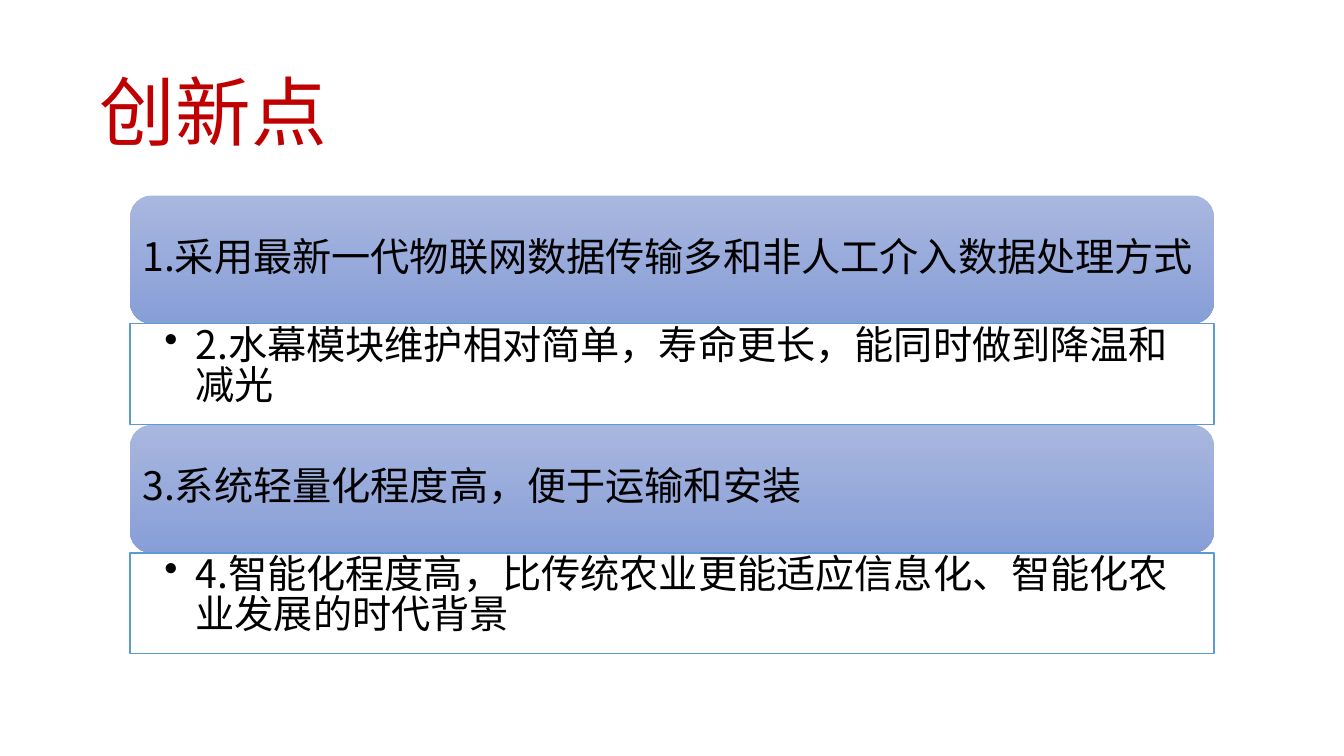
from dataclasses import dataclass

from lxml.etree import SubElement
from pptx import Presentation
from pptx.dml.color import RGBColor
from pptx.enum.shapes import MSO_SHAPE
from pptx.enum.text import MSO_ANCHOR, MSO_AUTO_SIZE, PP_ALIGN
from pptx.oxml.ns import qn
from pptx.util import Inches, Pt

TITLE = "创新点"
INNOVATIONS = [
    ("1.采用最新一代物联网数据传输多和非人工介入数据处理方式",
     "2.水幕模块维护相对简单，寿命更长，能同时做到降温和减光"),
    ("3.系统轻量化程度高，便于运输和安装",
     "4.智能化程度高，比传统农业更能适应信息化、智能化农业发展的时代背景"),
]


@dataclass(frozen=True)
class Theme:
    title_font: str = "Noto Sans CJK SC"
    body_font: str = "Noto Sans CJK JP"
    title_size: int = 54
    body_size: int = 28
    title_color: str = "C00000"
    text_color: str = "000000"
    paper: str = "FFFFFF"
    border: str = "5B9BD5"
    band: tuple = ("A8B7DF", "889ED7")


THEME = Theme()
SLIDE_WIDTH, SLIDE_HEIGHT = 13.33, 7.5
TITLE_BOX = (0.89, 0.7, 4.34, 0.93)
LEFT, TOP, WIDTH = 1.29, 1.94, 10.75
HEADER_HEIGHT, DETAIL_HEIGHT = 1.27, 1.0
PAIR_HEIGHT = HEADER_HEIGHT + DETAIL_HEIGHT + 0.005
HANGING = 0.31


def write_text(shape, text, font=THEME.body_font, size=THEME.body_size,
               color=THEME.text_color, anchor=MSO_ANCHOR.TOP,
               insets=(0.1, 0.05, 0.1, 0.05), spacing=0.85, bullet=False):
    frame = shape.text_frame
    frame.word_wrap = True
    frame.auto_size = MSO_AUTO_SIZE.NONE
    frame.vertical_anchor = anchor
    (frame.margin_left, frame.margin_top,
     frame.margin_right, frame.margin_bottom) = map(Inches, insets)
    paragraph = frame.paragraphs[0]
    paragraph.alignment = PP_ALIGN.LEFT
    paragraph.line_spacing = spacing
    run = paragraph.add_run()
    run.text = text
    run.font.name = font
    run.font.size = Pt(size)
    run.font.color.rgb = RGBColor.from_string(color)
    SubElement(run.font._element, qn("a:ea")).set("typeface", font)
    if bullet:
        properties = paragraph._p.get_or_add_pPr()
        properties.set("marL", str(Inches(HANGING)))
        properties.set("indent", str(-Inches(HANGING)))
        SubElement(properties, qn("a:buChar")).set("char", "•")


def add_box(slide, preset, top, height):
    shape = slide.shapes.add_shape(
        preset, *map(Inches, (LEFT, top, WIDTH, height)))
    shape.shadow.inherit = False
    return shape


def add_header(slide, text, top):
    band = add_box(slide, MSO_SHAPE.ROUNDED_RECTANGLE, top, HEADER_HEIGHT)
    band.fill.gradient()
    band.fill.gradient_angle = 270
    for stop, color in zip(band.fill.gradient_stops, THEME.band):
        stop.color.rgb = RGBColor.from_string(color)
    band.line.fill.background()
    write_text(band, text, anchor=MSO_ANCHOR.MIDDLE,
               insets=(0.06, 0.06, 0.02, 0.06))


def add_detail(slide, text, top):
    panel = add_box(slide, MSO_SHAPE.RECTANGLE, top, DETAIL_HEIGHT)
    panel.fill.solid()
    panel.fill.fore_color.rgb = RGBColor.from_string(THEME.paper)
    panel.line.color.rgb = RGBColor.from_string(THEME.border)
    panel.line.width = Pt(1)
    write_text(panel, text, insets=(0.34, 0.04, 0.22, 0.04), bullet=True)


def main():
    presentation = Presentation()
    presentation.slide_width = Inches(SLIDE_WIDTH)
    presentation.slide_height = Inches(SLIDE_HEIGHT)
    slide = presentation.slides.add_slide(presentation.slide_layouts[5])

    title = slide.shapes.title
    title.left, title.top, title.width, title.height = map(Inches, TITLE_BOX)
    write_text(title, TITLE, font=THEME.title_font, size=THEME.title_size,
               color=THEME.title_color, spacing=0.9)

    for index, (header, detail) in enumerate(INNOVATIONS):
        top = TOP + index * PAIR_HEIGHT
        add_header(slide, header, top)
        add_detail(slide, detail, top + HEADER_HEIGHT)

    presentation.save("out.pptx")


if __name__ == "__main__":
    main()
